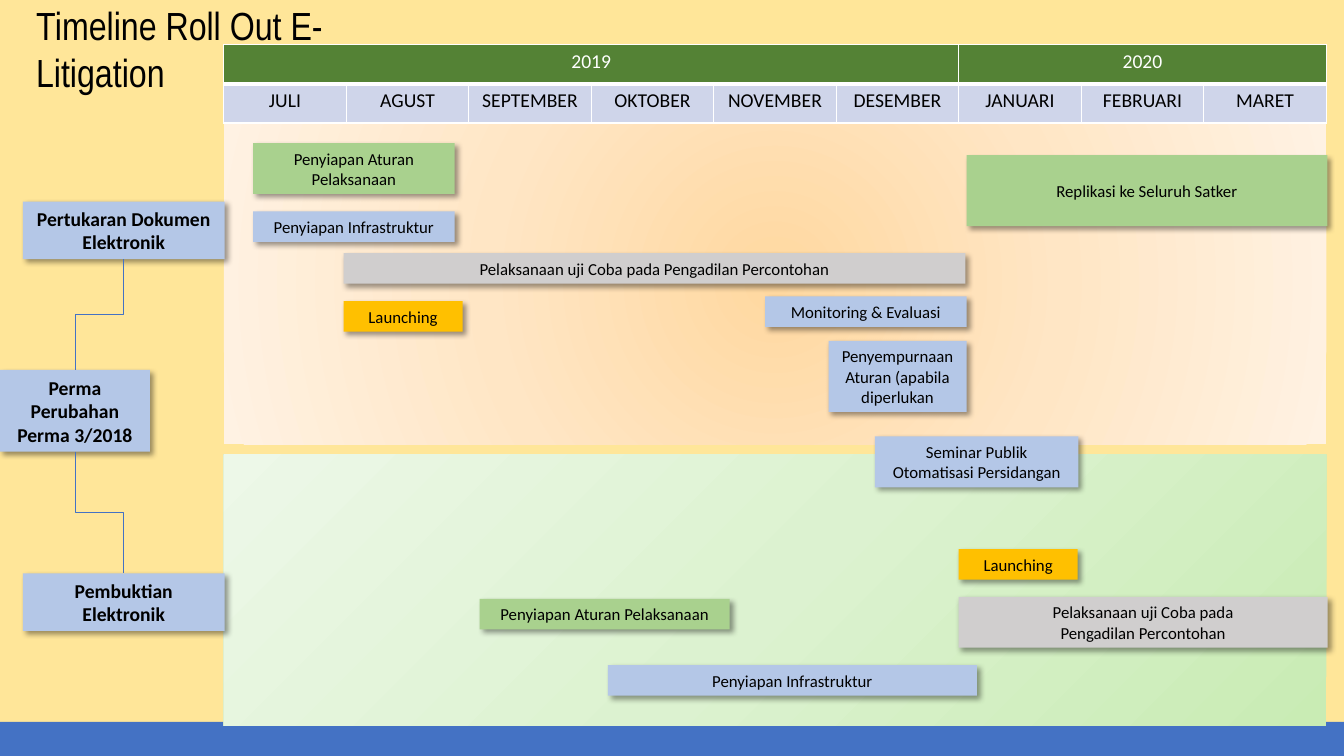
from lxml import etree
from pptx import Presentation
from pptx import util as u
from pptx.dml.color import RGBColor
from pptx.enum import shapes, text
from pptx.oxml import parse_xml
from pptx.oxml.ns import nsdecls, qn

COLORS = {
    "sand": "FFE699", "bar": "4472C4", "blue": "B4C7E7", "green": "A9D18E",
    "grey": "D0CECE", "amber": "FFC000", "year": "548235", "month": "CFD5EA",
    "black": "000000", "white": "FFFFFF",
}
LEAF = ["C9ECB4", "DCF2D0", "EDF8E8"]
PEACH = ["FFD8A0", "FFE6C5", "FFF2E3"]
LINEAR = '<a:lin ang="13500000" scaled="0"/>'
RADIAL = ('<a:path path="circle"><a:fillToRect l="50000" t="50000" '
          'r="50000" b="50000"/></a:path>')

CHART_LEFT, CHART_WIDTH = 5.64, 27.79
YEARS = [("2019", 0, 5), ("2020", 6, 8)]
MONTHS = ["JULI", "AGUST", "SEPTEMBER", "OKTOBER", "NOVEMBER", "DESEMBER",
          "JANUARI", "FEBRUARI", "MARET"]

# left, top, width, height in lines, colour, paragraphs
TASKS = [
    (6.38, 3.61, 5.08, 2, "green", ["Penyiapan Aturan Pelaksanaan"]),
    (6.38, 5.33, 5.08, 1, "blue", ["Penyiapan Infrastruktur"]),
    (8.66, 6.38, 15.67, 1, "grey",
     ["Pelaksanaan uji Coba pada Pengadilan Percontohan"]),
    (19.28, 7.47, 5.08, 1, "blue", ["Monitoring & Evaluasi"]),
    (24.36, 3.91, 9.09, 3, "green", ["Replikasi ke Seluruh Satker"]),
    (15.32, 16.76, 9.3, 1, "blue", ["Penyiapan Infrastruktur"]),
    (12.09, 15.09, 6.3, 1, "green", ["Penyiapan Aturan Pelaksanaan"]),
    (24.16, 15.04, 9.3, 2, "grey",
     ["Pelaksanaan uji Coba pada", "Pengadilan Percontohan"]),
    (20.88, 8.59, 3.48, 3, "blue", ["Penyempurnaan Aturan (apabila diperlukan"]),
    (22.05, 11, 5.13, 2, "blue", ["Seminar Publik Otomatisasi Persidangan"]),
    (8.66, 7.59, 3, 1, "amber", ["Launching"]),
    (24.16, 13.84, 3, 1, "amber", ["Launching"]),
]


def rgb(name):
    return RGBColor.from_string(COLORS[name])


def write(paragraph, words, size, color="black", bold=False, font="Calibri",
          align=text.PP_ALIGN.CENTER):
    paragraph.alignment = align
    run = paragraph.add_run()
    run.text = words
    run.font.name, run.font.size, run.font.bold = font, u.Pt(size), bold
    run.font.color.rgb = rgb(color)


def add_block(slide, left, top, width, height, color):
    block = slide.shapes.add_shape(shapes.MSO_SHAPE.RECTANGLE, u.Cm(left),
                                   u.Cm(top), u.Cm(width), u.Cm(height))
    block.shadow.inherit = False
    block.fill.solid()
    block.fill.fore_color.rgb = rgb(color)
    block.line.fill.background()
    return block


def add_band(slide, top, height, stops, direction):
    band = add_block(slide, CHART_LEFT, top, CHART_WIDTH, height, "white")
    marks = "".join(f'<a:gs pos="{i * 50000}"><a:srgbClr val="{c}"/></a:gs>'
                    for i, c in enumerate(stops))
    gradient = parse_xml(f'<a:gradFill {nsdecls("a")} rotWithShape="1">'
                         f'<a:gsLst>{marks}</a:gsLst>{direction}</a:gradFill>')
    properties = band._element.spPr
    properties.replace(properties.find(qn("a:solidFill")), gradient)


def add_card(slide, left, top, width, height, color, paragraphs, size, bold=False):
    card = add_block(slide, left, top, width, height, color)
    card._element.spPr.find(qn("a:effectLst")).append(parse_xml(
        f'<a:outerShdw {nsdecls("a")} blurRad="{u.Pt(4)}" dist="{u.Pt(3)}" '
        f'dir="2700000" algn="tl" rotWithShape="0"><a:srgbClr val="{COLORS["black"]}">'
        '<a:alpha val="40000"/></a:srgbClr></a:outerShdw>'))
    frame = card.text_frame
    frame.word_wrap = True
    frame.vertical_anchor = text.MSO_ANCHOR.MIDDLE
    for i, words in enumerate(paragraphs):
        paragraph = frame.add_paragraph() if i else frame.paragraphs[0]
        write(paragraph, words, size, bold=bold)
    return card


def add_elbow(slide, start, start_side, end, end_side):
    """Join two cards with an elbow that leaves and arrives vertically."""
    elbow = slide.shapes.add_connector(shapes.MSO_CONNECTOR.ELBOW, 0, 0, 0, 0)
    elbow.begin_connect(start, start_side)
    elbow.end_connect(end, end_side)
    x1, y1, x2, y2 = elbow.begin_x, elbow.begin_y, elbow.end_x, elbow.end_y
    length, depth = abs(y2 - y1), abs(x2 - x1)
    elbow.left, elbow.top = (x1 + x2 - length) // 2, (y1 + y2 - depth) // 2
    elbow.width, elbow.height = length, depth
    upward = y2 < y1
    frame = elbow._element.spPr.find(qn("a:xfrm"))
    frame.set("rot", "5400000" if upward else "16200000")
    frame.set("flipH", "1")
    frame.set("flipV", "1" if upward else "0")
    elbow.line.color.rgb = rgb("bar")
    elbow.line.width = u.Pt(0.5)
    etree.SubElement(elbow._element.spPr, qn("a:effectLst"))


def style_cell(cell, color, bottom):
    cell.fill.solid()
    cell.fill.fore_color.rgb = rgb(color)
    borders = [("lnL", 1), ("lnR", 1), ("lnT", 1), ("lnB", bottom)]
    for i, (side, width) in enumerate(borders):
        cell._tc.tcPr.insert(i, parse_xml(
            f'<a:{side} {nsdecls("a")} w="{u.Pt(width)}"><a:solidFill>'
            f'<a:srgbClr val="{COLORS["white"]}"/></a:solidFill></a:{side}>'))


def add_calendar(slide):
    calendar = slide.shapes.add_table(2, len(MONTHS), u.Cm(CHART_LEFT), u.Cm(1.12),
                                      u.Cm(CHART_WIDTH), u.Cm(1.98)).table
    calendar.first_row = calendar.horz_banding = False
    for i, month in enumerate(MONTHS):
        style_cell(calendar.cell(0, i), "year", 3)
        style_cell(calendar.cell(1, i), "month", 1)
        write(calendar.cell(1, i).text_frame.paragraphs[0], month, 14)
    for year, first, last in YEARS:
        cell = calendar.cell(0, first)
        cell.merge(calendar.cell(0, last))
        write(cell.text_frame.paragraphs[0], year, 14, "white")


def add_title(slide):
    title = slide.shapes.add_textbox(u.Cm(0.66), u.Cm(-0.1), u.Cm(9.96), u.Cm(1.45))
    title.text_frame.word_wrap = True
    write(title.text_frame.paragraphs[0], "Timeline Roll Out E-Litigation", 28,
          font="Arial Narrow", align=text.PP_ALIGN.LEFT)


def main():
    deck = Presentation()
    deck.slide_width, deck.slide_height = u.Cm(33.87), u.Cm(19.05)
    slide = deck.slides.add_slide(deck.slide_layouts[6])

    # Background
    slide.background.fill.solid()
    slide.background.fill.fore_color.rgb = rgb("sand")
    add_block(slide, 0, 18.19, 33.87, 0.86, "bar")
    add_band(slide, 11.46, 6.83, LEAF, LINEAR)
    add_band(slide, 3.02, 8.18, PEACH, RADIAL)

    # Regulation and its two workstreams
    regulation = add_card(slide, 0, 9.32, 3.78, 2.06, "blue",
                          ["Perma Perubahan Perma 3/2018"], 14, True)
    exchange = add_card(slide, 0.58, 5.08, 5.08, 1.45, "blue",
                        ["Pertukaran Dokumen Elektronik"], 14, True)
    evidence = add_card(slide, 0.58, 14.45, 5.08, 1.45, "blue",
                        ["Pembuktian Elektronik"], 14, True)
    add_elbow(slide, regulation, 0, exchange, 2)
    add_elbow(slide, regulation, 2, evidence, 0)

    # Calendar and tasks
    add_calendar(slide)
    for left, top, width, lines, color, paragraphs in TASKS:
        add_card(slide, left, top, width, 0.26 + 0.51 * lines, color, paragraphs, 12)

    add_title(slide)
    deck.save("out.pptx")


if __name__ == "__main__":
    main()
